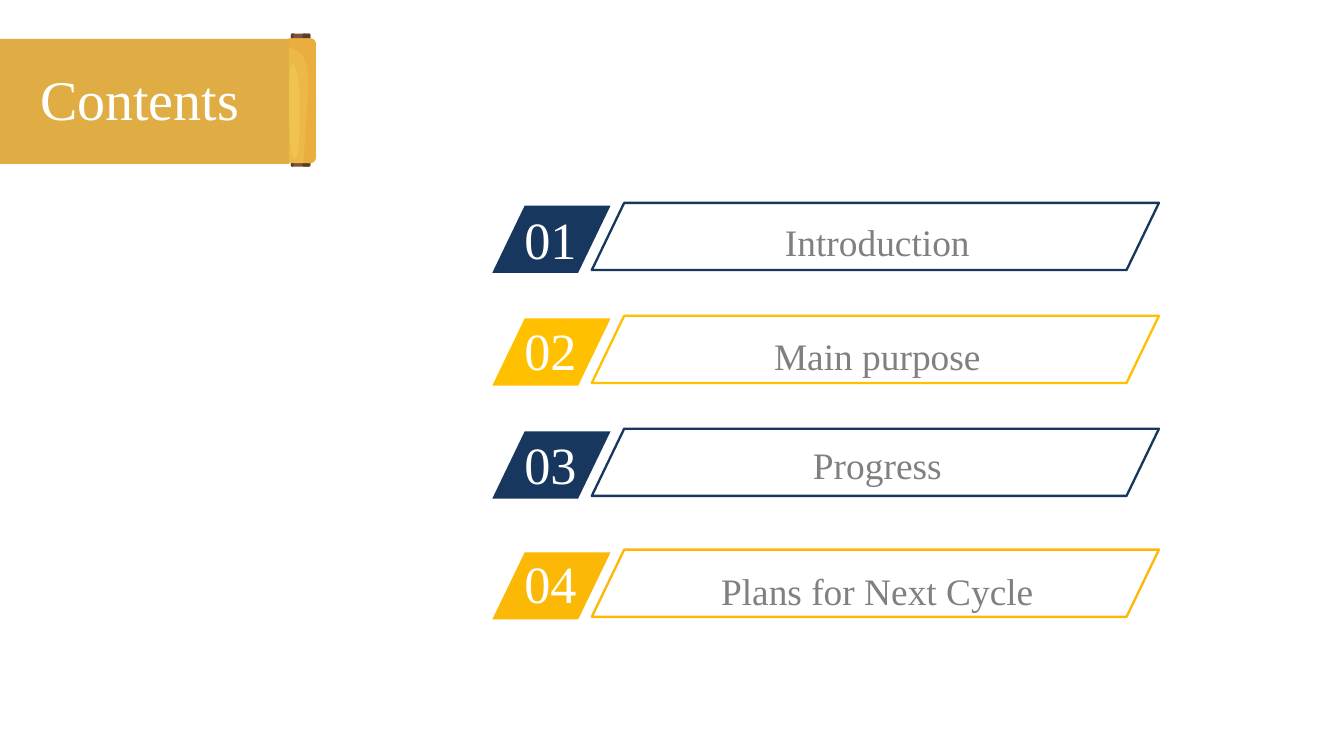
import pptx
import pptx.util
import pptx.dml.color
import pptx.enum.shapes
import pptx.enum.text

RGB = pptx.dml.color.RGBColor
SHAPE = pptx.enum.shapes.MSO_SHAPE
NAVY = RGB(0x17, 0x37, 0x5E)
YELLOW = RGB(0xFF, 0xC0, 0x00)
AMBER = RGB(0xFC, 0xB8, 0x06)
GREY = RGB(0x80, 0x80, 0x80)
WHITE = RGB(0xFF, 0xFF, 0xFF)
BANNER = RGB(0xDF, 0xAD, 0x44)
ROLL = RGB(0xEC, 0xB8, 0x47)
ROLL_SHADE = RGB(0xE9, 0xAE, 0x3D)
ROLL_SHINE = RGB(0xEF, 0xC2, 0x51)
WOOD = RGB(0x7E, 0x52, 0x3D)
WOOD_DARK = RGB(0x5A, 0x3D, 0x2E)
FONT = "Times New Roman"
COLUMNS, ROWS = 100, 56.25
CELL = pptx.util.Inches(0.1)


def cells(*counts):
    return [round(count * CELL) for count in counts]


def paint(shape, fill=None, line=None):
    shape.shadow.inherit = False
    if fill is None:
        shape.fill.background()
    else:
        shape.fill.solid()
        shape.fill.fore_color.rgb = fill
    if line is None:
        shape.line.fill.background()
    else:
        shape.line.color.rgb = line
        shape.line.width = pptx.util.Pt(1.25)


def add_preset(slide, preset, box, fill=None, line=None, adjust=None):
    shape = slide.shapes.add_shape(preset, *cells(*box))
    if adjust is not None:
        shape.adjustments[0] = adjust
    paint(shape, fill, line)


def add_outline(slide, left, top, points, fill):
    corners = [cells(left + x, top + y) for x, y in points]
    builder = slide.shapes.build_freeform(*corners[0])
    builder.add_line_segments(corners[1:], close=True)
    paint(builder.convert_to_shape(), fill)


def add_text(slide, box, text, size, color, align=None, spacing=None):
    frame = slide.shapes.add_textbox(*cells(*box)).text_frame
    frame.word_wrap = True
    paragraph = frame.paragraphs[0]
    paragraph.text = text
    paragraph.alignment = align
    paragraph.line_spacing = spacing
    paragraph.font.name = FONT
    paragraph.font.size = pptx.util.Pt(size)
    paragraph.font.color.rgb = color


def add_scroll(slide, left, top):
    for cap_top in (0, 9.5):
        add_preset(slide, SHAPE.ROUNDED_RECTANGLE,
                   (left + 0.45, top + cap_top, 1.45, 0.4), WOOD, adjust=0.3)
        for x, width in ((0.45, 0.2), (1.3, 0.6)):
            add_preset(slide, SHAPE.ROUNDED_RECTANGLE,
                       (left + x, top + cap_top, width, 0.4), WOOD_DARK,
                       adjust=0.3)
    add_preset(slide, SHAPE.ROUNDED_RECTANGLE,
               (left, top + 0.35, 2.3, 9.3), ROLL, adjust=0.17)
    shade = [(0.1, 0.7), (0.2, 0.5), (0.4, 0.35), (1.9, 0.35), (2.2, 0.5),
             (2.3, 0.7), (2.3, 9.3), (2.2, 9.5), (1.9, 9.65), (1.4, 9.6),
             (1.55, 7.2), (1.7, 4.6), (1.75, 3.2), (1.65, 2.4),
             (1.4, 1.75), (1.1, 1.4), (0.7, 1.15), (0.1, 1)]
    shine = [(0.5, 2.3), (0.65, 2.3), (0.9, 2.8), (1.05, 3.8), (1.1, 5.1),
             (1.1, 6.4), (1.05, 8), (0.95, 9), (0.8, 9.3), (0.65, 9.3),
             (0.45, 8.8), (0.35, 7.7), (0.3, 5.9), (0.3, 3.8), (0.35, 2.8)]
    add_outline(slide, left, top, shade, ROLL_SHADE)
    add_outline(slide, left, top, shine, ROLL_SHINE)


def add_title(slide, left, top, title):
    add_scroll(slide, left + 22.8, top - 0.4)
    add_preset(slide, SHAPE.RECTANGLE, (left, top, 23.1, 9.3), BANNER)
    add_text(slide, (left + 3.6, top + 1.4, 22.9, 6.1), title, 30, WHITE)


def add_entry(slide, left, top, number, topic, color, number_top, topic_top):
    add_preset(slide, SHAPE.PARALLELOGRAM, (left, top + 0.2, 8.8, 5), color,
               adjust=0.482)
    add_text(slide, (left + 1.4, top + number_top, 8.4, 5.7), number, 28, WHITE)
    add_text(slide, (left + 13.2, top + topic_top, 30.9, 6.1), topic, 20, GREY,
             pptx.enum.text.PP_ALIGN.CENTER, 1.5)
    add_preset(slide, SHAPE.PARALLELOGRAM, (left + 7.4, top, 42.2, 5),
               line=color, adjust=0.482)


ENTRIES = [
    (15.1, "Introduction", NAVY, -0.2, -0.95),
    (23.5, "Main purpose", YELLOW, -0.3, -0.85),
    (31.9, "Progress", NAVY, -0.2, -1.15),
    (40.9, "Plans for Next Cycle", AMBER, -0.35, -0.75),
]

deck = pptx.Presentation()
deck.slide_width, deck.slide_height = cells(COLUMNS, ROWS)
contents = deck.slides.add_slide(deck.slide_layouts[6])
for index, (top, *entry) in enumerate(ENTRIES, 1):
    add_entry(contents, 36.63, top, f"{index:02}", *entry)
add_title(contents, -1.6, 2.9, "Contents")
deck.save("out.pptx")
